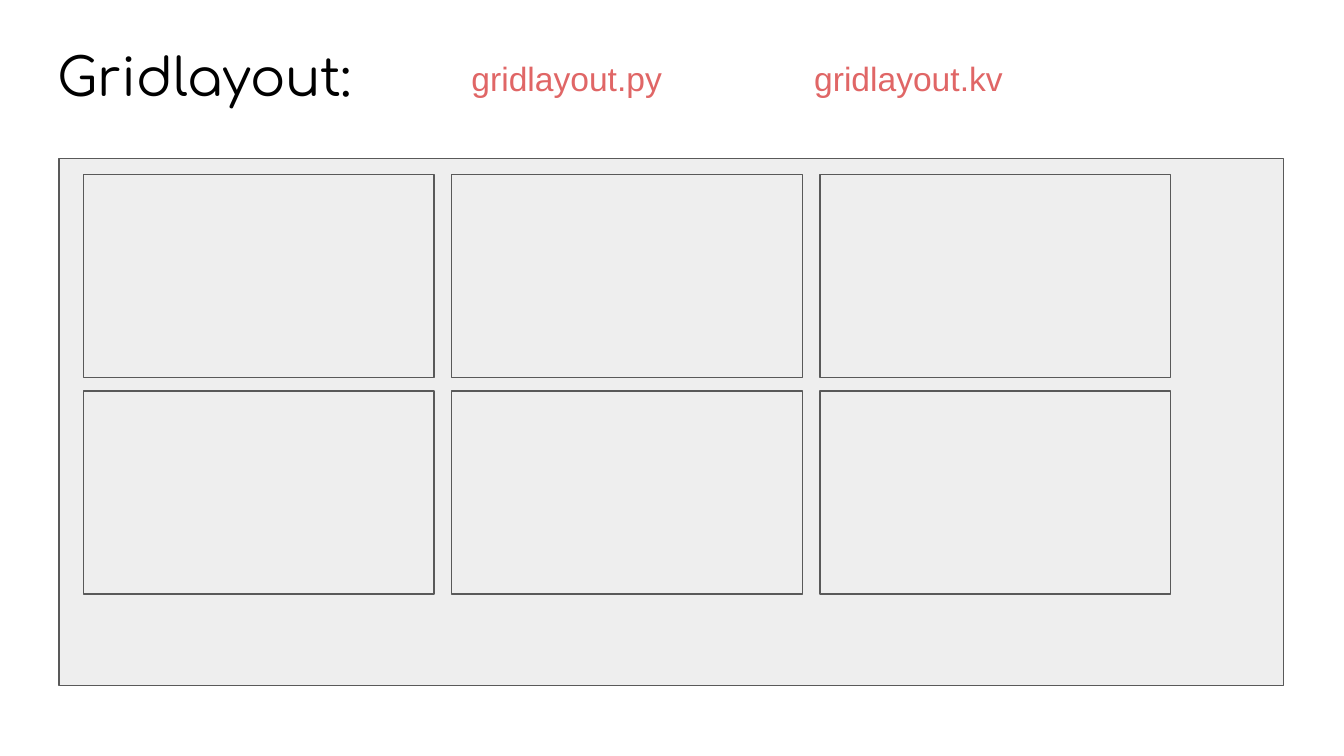
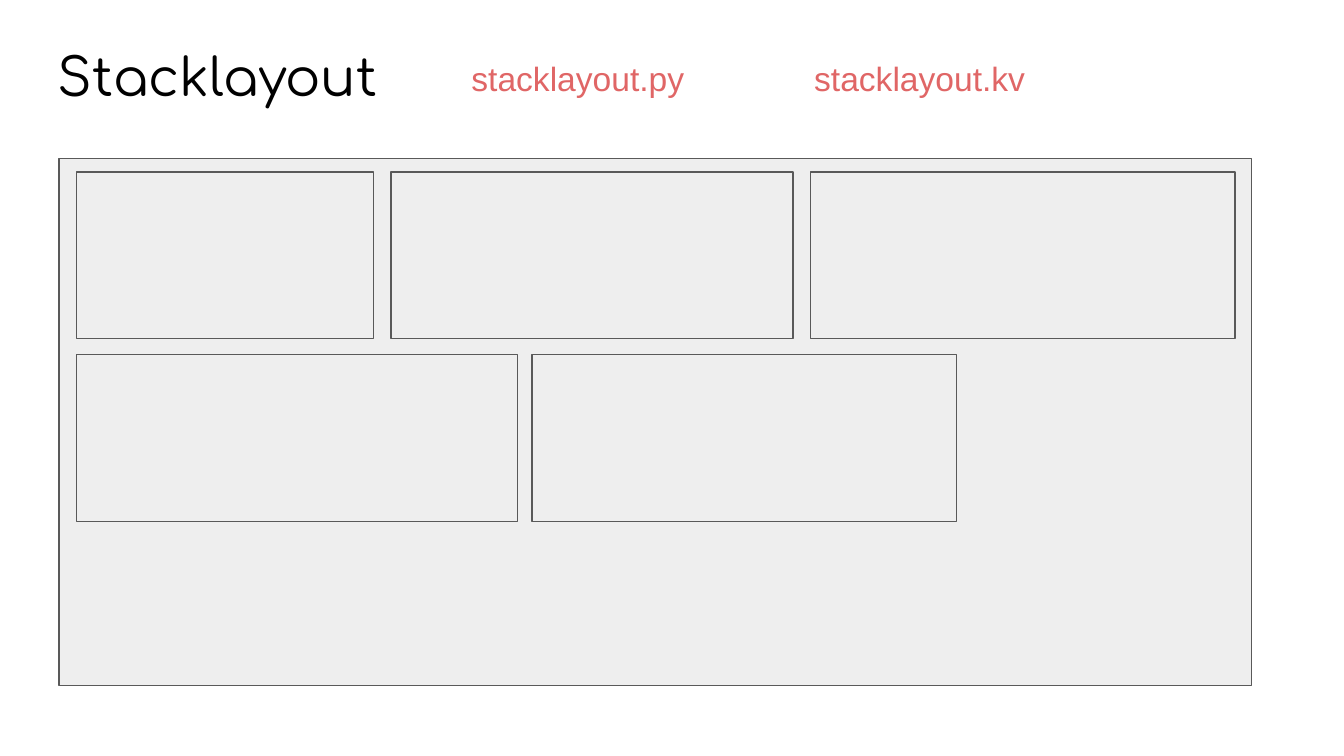
from pptx import Presentation
from pptx.dml.color import RGBColor
from pptx.enum.shapes import MSO_SHAPE as Shape
from pptx.enum.text import MSO_ANCHOR as Anchor
from pptx.util import Inches, Pt

COLOURS = {"title": "000000", "file": "E06666", "fill": "EEEEEE", "line": "595959"}

# Shared positions, in inches
TITLE_LEFT, TITLE_TOP, TITLE_HEIGHT = 0.33, 0.23, 0.63
FILE_LEFT, FILE_TOP, FILE_STEP = 3.41, 0.33, 2.55
FILE_WIDTH, FILE_HEIGHT = 1.86, 0.5
PANEL_LEFT, PANEL_TOP, PANEL_HEIGHT = 0.44, 1.18, 3.92

deck = Presentation()
deck.slide_width, deck.slide_height = Inches(10), Inches(5.625)


def add_label(page, text, left, top, width, height, font, size, colour):
    box = page.shapes.add_textbox(*map(Inches, (left, top, width, height)))
    frame = box.text_frame
    frame.word_wrap = True
    frame.vertical_anchor = Anchor.TOP
    frame.margin_left = frame.margin_right = Inches(0.1)
    frame.margin_top = frame.margin_bottom = Inches(0.1)
    frame.text = text
    span = frame.paragraphs[0].runs[0]
    span.font.name = font
    span.font.size = Pt(size)
    span.font.color.rgb = RGBColor.from_string(COLOURS[colour])


def add_cell(page, left, top, width, height):
    cell = page.shapes.add_shape(Shape.RECTANGLE, *map(Inches, (left, top, width, height)))
    cell.shadow.inherit = False
    cell.fill.solid()
    cell.fill.fore_color.rgb = RGBColor.from_string(COLOURS["fill"])
    cell.line.color.rgb = RGBColor.from_string(COLOURS["line"])
    cell.line.width = Pt(0.75)


# Each layout: title, title width, file stem, panel width, first cell's left and top,
# cell height, row gap, and rows of (column gap, cell widths)
layouts = [
    ("Gridlayout:", 3.05, "gridlayout", 9.11, 0.62, 1.3, 1.51, 0.1,
     [(0.13, [2.61] * 3)] * 2),
    ("Stacklayout", 6.37, "stacklayout", 8.87, 0.57, 1.28, 1.24, 0.12,
     [(0.13, [2.21, 2.99, 3.16]), (0.11, [3.28, 3.16])]),
]

for title, title_width, stem, panel_width, left, top, height, row_gap, rows in layouts:
    page = deck.slides.add_slide(deck.slide_layouts[6])

    # Title and file names
    add_label(page, title, TITLE_LEFT, TITLE_TOP, title_width, TITLE_HEIGHT,
              "Comfortaa", 28, "title")
    for column, ending in enumerate(["py", "kv"]):
        add_label(page, f"{stem}.{ending}", FILE_LEFT + column * FILE_STEP, FILE_TOP,
                  FILE_WIDTH, FILE_HEIGHT, "Arial", 18, "file")

    # Panel with its cells, placed left to right and row by row
    add_cell(page, PANEL_LEFT, PANEL_TOP, panel_width, PANEL_HEIGHT)
    for row, (gap, widths) in enumerate(rows):
        cell_left = left
        for width in widths:
            add_cell(page, cell_left, top + row * (height + row_gap), width, height)
            cell_left += width + gap

deck.save("out.pptx")
